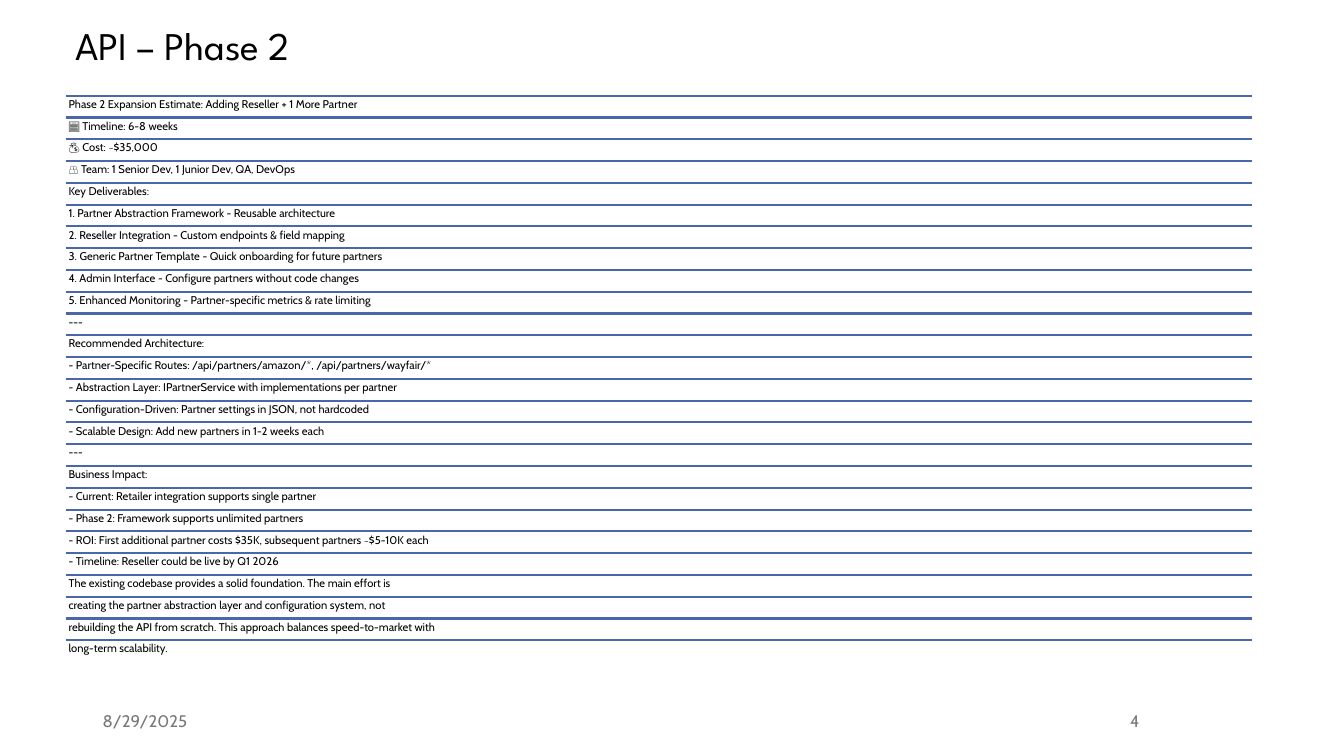
import pptx
import pptx.dml.color
import pptx.enum.shapes
import pptx.enum.text
import pptx.oxml.ns
import pptx.util
from lxml import etree

ANCHOR = pptx.enum.text.MSO_ANCHOR
ALIGN = pptx.enum.text.PP_ALIGN

# Boxes as left, top, width, height in percent of the slide
TITLE_BOX = (4.88, 2.8, 86.27, 7.07)
LIST_BOX = (4.88, 12.67, 88.26, 74.9)
DATE_BOX = (6.9, 92.67, 22.5, 5.33)
NUMBER_BOX = (70.67, 92.67, 14.85, 5.33)

ESTIMATE_LINES = [
    "Phase 2 Expansion Estimate: Adding Reseller + 1 More Partner",
    "📅 Timeline: 6-8 weeks",
    "💰 Cost: ~$35,000",
    "👥 Team: 1 Senior Dev, 1 Junior Dev, QA, DevOps",
    "Key Deliverables:",
    "1. Partner Abstraction Framework - Reusable architecture",
    "2. Reseller Integration - Custom endpoints & field mapping",
    "3. Generic Partner Template - Quick onboarding for future partners",
    "4. Admin Interface - Configure partners without code changes",
    "5. Enhanced Monitoring - Partner-specific metrics & rate limiting",
    "---",
    "Recommended Architecture:",
    "- Partner-Specific Routes: /api/partners/amazon/*, /api/partners/wayfair/*",
    "- Abstraction Layer: IPartnerService with implementations per partner",
    "- Configuration-Driven: Partner settings in JSON, not hardcoded",
    "- Scalable Design: Add new partners in 1-2 weeks each",
    "---",
    "Business Impact:",
    "- Current: Retailer integration supports single partner",
    "- Phase 2: Framework supports unlimited partners",
    "- ROI: First additional partner costs $35K, subsequent partners ~$5-10K each",
    "- Timeline: Reseller could be live by Q1 2026",
    "The existing codebase provides a solid foundation. The main effort is",
    "creating the partner abstraction layer and configuration system, not",
    "rebuilding the API from scratch. This approach balances speed-to-market with",
    "long-term scalability.",
]


def color(hex_string):
    return pptx.dml.color.RGBColor.from_string(hex_string)


def add_text(slide, box, text, size, font, hex_string, anchor=ANCHOR.MIDDLE,
             align=ALIGN.LEFT, spacing=1.0, inset=None):
    shape = slide.shapes.add_textbox(*box)
    frame = shape.text_frame
    frame.word_wrap = True
    frame.vertical_anchor = anchor
    if inset is not None:
        frame.margin_left = frame.margin_right = inset
        frame.margin_top = frame.margin_bottom = inset
    paragraph = frame.paragraphs[0]
    paragraph.text = text
    paragraph.alignment = align
    paragraph.line_spacing = spacing
    paragraph.font.size = pptx.util.Pt(size)
    paragraph.font.name = font
    paragraph.font.color.rgb = color(hex_string)


def add_rule(slide, left, top, width):
    rule = slide.shapes.add_connector(
        pptx.enum.shapes.MSO_CONNECTOR.STRAIGHT, left, top, left + width, top)
    rule.line.color.rgb = color("4A66AC")
    rule.line.width = pptx.util.Pt(1.5)
    etree.SubElement(rule._element.spPr, pptx.oxml.ns.qn("a:effectLst"))


def add_title(slide, box):
    add_text(slide, box, "API – Phase 2", 28, "League Spartan", "000000", spacing=0.9)


def add_ruled_list(slide, box, lines):
    left, top, width, height = box
    row_height = height / len(lines)
    for row, line in enumerate(lines):
        row_top = round(top + row * row_height)
        add_rule(slide, left, row_top, width)
        add_text(slide, (left, row_top, width, round(row_height)), line, 8, "Cabin",
                 "000000", anchor=ANCHOR.TOP, spacing=0.9, inset=pptx.util.Inches(0.03))


def add_footer(slide, date_box, number_box):
    add_text(slide, date_box, "8/29/2025", 12, "Cabin", "797979")
    add_text(slide, number_box, "4", 12, "Cabin", "797979", align=ALIGN.RIGHT)


def main():
    presentation = pptx.Presentation()
    presentation.slide_width = pptx.util.Inches(13.33)
    presentation.slide_height = pptx.util.Inches(7.5)
    slide = presentation.slides.add_slide(presentation.slide_layouts[6])

    def place(box):
        sides = (presentation.slide_width, presentation.slide_height) * 2
        return tuple(round(side * share / 100) for side, share in zip(sides, box))

    add_title(slide, place(TITLE_BOX))
    add_footer(slide, place(DATE_BOX), place(NUMBER_BOX))
    add_ruled_list(slide, place(LIST_BOX), ESTIMATE_LINES)
    presentation.save("out.pptx")


if __name__ == "__main__":
    main()
